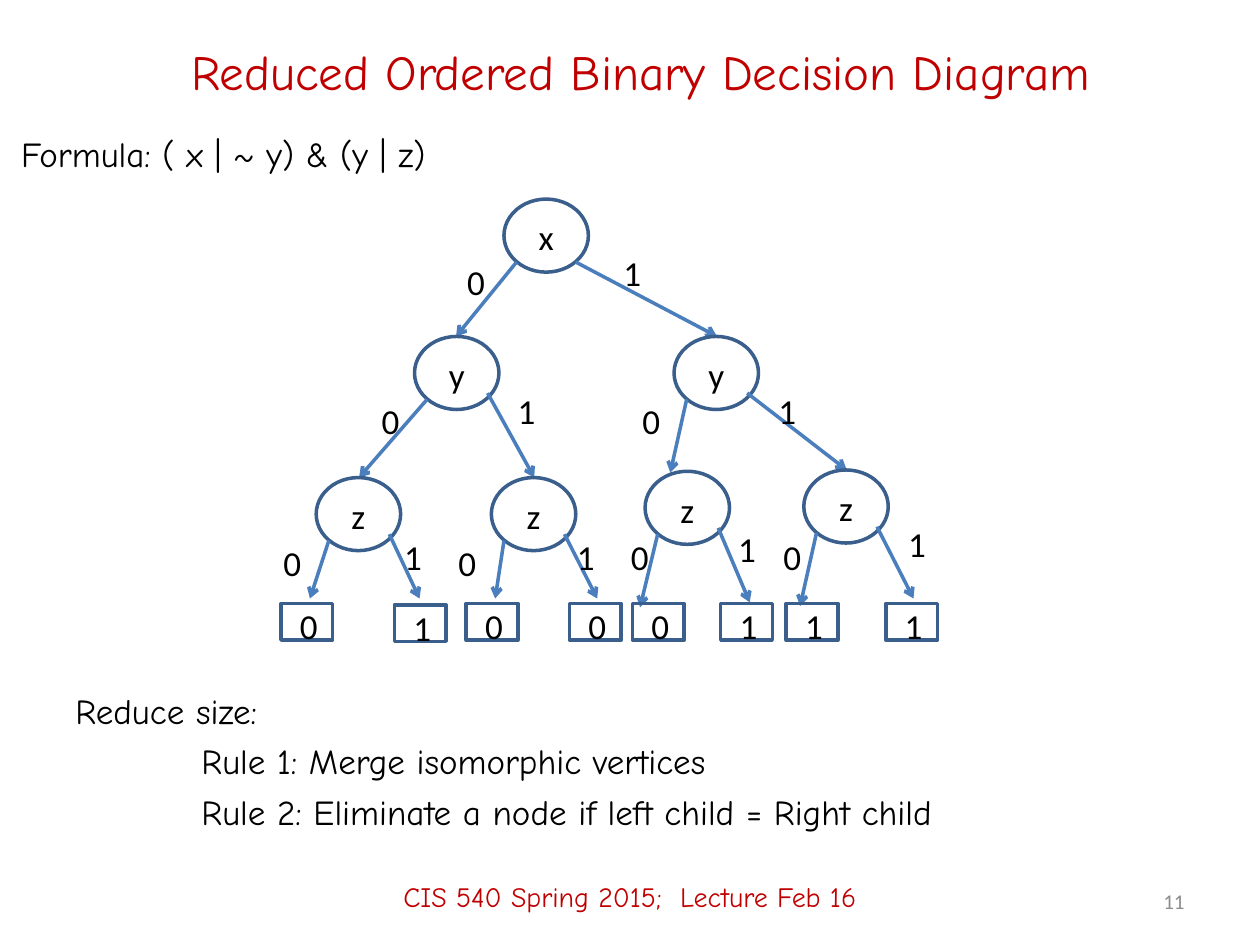
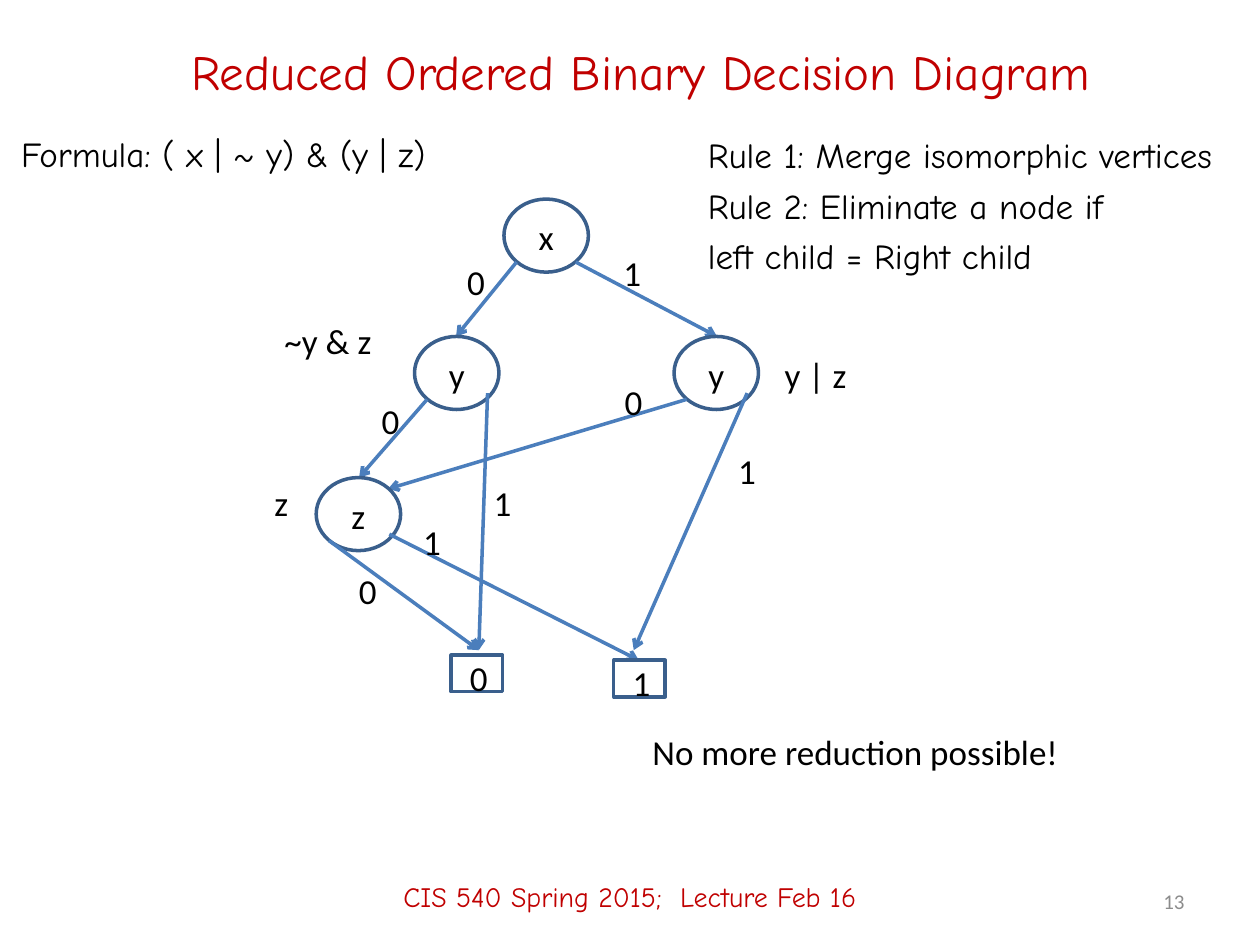
from dataclasses import dataclass
from typing import Optional

from pptx import Presentation
from pptx import util as u
from pptx.dml.color import RGBColor
from pptx.enum import shapes, text
from pptx.oxml.ns import qn
from pptx.slide import Slide

RED, BLACK, GREY = "C00000", "000000", "8C8C8C"
OUTLINE, ARROW = "3A5F8C", "4B7EBC"
HAND, PLAIN = "Comic Neue", "Calibri"
LEFT, CENTER, RIGHT = text.PP_ALIGN.LEFT, text.PP_ALIGN.CENTER, text.PP_ALIGN.RIGHT
TOP, MIDDLE = text.MSO_ANCHOR.TOP, text.MSO_ANCHOR.MIDDLE

NODE_W, NODE_H = 0.67, 0.58
LEAF_W, LEAF_H = 0.41, 0.29
LABEL_W, LABEL_H = 0.34, 0.44


@dataclass(frozen=True)
class Branch:
    """Arrow tip on the slide, and label offset from the node's corner."""
    tip_x: float
    tip_y: float
    label_dx: float
    label_dy: float


@dataclass(frozen=True)
class Node:
    name: str
    left: float
    top: float
    zero: Branch
    one: Branch
    one_start: tuple[float, float] = (0.58, 0.45)


@dataclass(frozen=True)
class Leaf:
    value: str
    left: float
    top: float = 4.79


ROOT = Node("x", 4, 1.58, Branch(3.62, 2.67, -0.39, 0.44),
            Branch(5.69, 2.67, 0.85, 0.37), (0.57, 0.5))
Y_ZERO = Branch(2.85, 3.79, -0.36, 0.45)

FULL_TREE = [
    ROOT,
    Node("y", 3.29, 2.67, Y_ZERO, Branch(4.24, 3.79, 0.72, 0.37)),
    Node("y", 5.35, 2.67, Branch(5.32, 3.75, -0.35, 0.45), Branch(6.72, 3.73, 0.73, 0.37)),
    Node("z", 2.51, 3.79, Branch(2.46, 4.75, -0.36, 0.46), Branch(3.33, 4.75, 0.6, 0.41)),
    Node("z", 3.9, 3.79, Branch(3.93, 4.75, -0.36, 0.46), Branch(4.74, 4.75, 0.58, 0.41)),
    Node("z", 5.12, 3.74, Branch(5.08, 4.82, -0.21, 0.46), Branch(5.95, 4.78, 0.64, 0.4)),
    Node("z", 6.38, 3.73, Branch(6.35, 4.81, -0.26, 0.47), Branch(7.25, 4.75, 0.73, 0.37)),
]
FULL_LEAVES = [
    Leaf("0", 2.23), Leaf("1", 3.13, 4.8), Leaf("0", 3.7), Leaf("0", 4.52),
    Leaf("0", 5.02), Leaf("1", 5.72), Leaf("1", 6.24), Leaf("1", 7.03),
]

REDUCED_TREE = [
    ROOT,
    Node("y", 3.29, 2.67, Y_ZERO, Branch(3.8, 5.16, 0.53, 1.1)),
    Node("y", 5.35, 2.67, Branch(3.08, 3.88, -0.49, 0.3), Branch(5.03, 5.16, 0.41, 0.85)),
    Node("z", 2.51, 3.79, Branch(3.8, 5.16, 0.24, 0.68), Branch(5.07, 5.24, 0.75, 0.29)),
]
REDUCED_LEAVES = [Leaf("0", 3.58, 5.2), Leaf("1", 4.87, 5.24)]


def rgb(color: str) -> RGBColor:
    return RGBColor.from_string(color)


def write(tf, lines: list[str], *, font: str = PLAIN, size: float = 20, color: str = BLACK,
          align=LEFT, anchor=TOP, wrap: bool = True, gap: float = 0,
          indents: Optional[list[float]] = None) -> None:
    """Fill a text frame, one paragraph a line; gap is points, indents are inches."""
    tf.word_wrap = wrap
    tf.vertical_anchor = anchor
    for i, line in enumerate(lines):
        p = tf.paragraphs[0] if i == 0 else tf.add_paragraph()
        p.alignment = align
        if i:
            p.space_before = u.Pt(gap)
        if indents:
            p._p.get_or_add_pPr().set("marL", str(u.Inches(indents[i])))
        r = p.add_run()
        r.text = line
        r.font.name, r.font.size = font, u.Pt(size)
        r.font.color.rgb = rgb(color)


def add_text(s: Slide, lines: list[str], left: float, top: float, width: float,
             height: float, **fmt) -> None:
    box = s.shapes.add_textbox(*map(u.Inches, (left, top, width, height)))
    write(box.text_frame, lines, **fmt)


def add_outlined(s: Slide, kind, label: str, left: float, top: float, width: float,
                 height: float, insets: tuple[float, float], **fmt) -> None:
    """Unfilled shape holding a label; insets are the left and top margins."""
    sp = s.shapes.add_shape(kind, *map(u.Inches, (left, top, width, height)))
    sp.shadow.inherit = False
    sp.fill.background()
    sp.line.color.rgb = rgb(OUTLINE)
    sp.line.width = u.Pt(2)
    tf = sp.text_frame
    tf.margin_left, tf.margin_top = map(u.Inches, insets)
    tf.margin_right = tf.margin_bottom = 0
    write(tf, [label], **fmt)


def add_arrow(s: Slide, x1: float, y1: float, x2: float, y2: float) -> None:
    line = s.shapes.add_connector(shapes.MSO_CONNECTOR.STRAIGHT,
                                  *map(u.Inches, (x1, y1, x2, y2)))
    line.line.color.rgb = rgb(ARROW)
    line.line.width = u.Pt(2)
    ln = line.line._get_or_add_ln()
    ln.append(ln.makeelement(qn("a:tailEnd"), {"type": "arrow"}))
    sp_pr = line._element.spPr
    sp_pr.append(sp_pr.makeelement(qn("a:effectLst"), {}))


def add_node(s: Slide, node: Node) -> None:
    add_outlined(s, shapes.MSO_SHAPE.OVAL, node.name, node.left, node.top, NODE_W, NODE_H,
                 (0, 0.02), align=CENTER, anchor=MIDDLE, wrap=False)
    for label, branch, (dx, dy) in (("0", node.zero, (0.1, 0.5)),
                                    ("1", node.one, node.one_start)):
        add_arrow(s, node.left + dx, node.top + dy, branch.tip_x, branch.tip_y)
        add_text(s, [label], node.left + branch.label_dx, node.top + branch.label_dy,
                 LABEL_W, LABEL_H, wrap=False)


def add_diagram(s: Slide, nodes: list[Node], leaves: list[Leaf]) -> None:
    for node in nodes:
        add_node(s, node)
    for leaf in leaves:
        add_outlined(s, shapes.MSO_SHAPE.RECTANGLE, leaf.value, leaf.left, leaf.top,
                     LEAF_W, LEAF_H, (0.15, 0.01))


def add_base_slide(prs, number: int) -> Slide:
    """Slide with the shared title, formula, footer and page number."""
    s = prs.slides.add_slide(prs.slide_layouts[6])
    add_text(s, ["Reduced Ordered Binary Decision Diagram"], 0.67, 0.17, 8.83, 0.78,
             font=HAND, size=28, color=RED, align=CENTER, anchor=MIDDLE)
    add_text(s, ["Formula: ( x | ~ y) & (y | z)"], 0.07, 1, 4.67, 0.46, font=HAND)
    add_text(s, ["CIS 540 Spring 2015;  Lecture Feb 16"], 0, 6.72, 10, 0.78,
             font=HAND, size=16, color=RED, align=CENTER, anchor=MIDDLE)
    add_text(s, [str(number)], 7.17, 6.95, 2.33, 0.4,
             size=12, color=GREY, align=RIGHT, anchor=MIDDLE)
    return s


def add_full_tree_slide(prs) -> None:
    s = add_base_slide(prs, 11)
    add_diagram(s, FULL_TREE, FULL_LEAVES)
    add_text(s, ["Reduce size:", "Rule 1: Merge isomorphic vertices",
                 "Rule 2: Eliminate a node if left child = Right child"],
             0.5, 5.42, 8.75, 1.33, font=HAND, gap=5, indents=[0, 1, 1])


def add_reduced_slide(prs) -> None:
    s = add_base_slide(prs, 13)
    add_diagram(s, REDUCED_TREE, REDUCED_LEAVES)
    add_text(s, ["Rule 1: Merge isomorphic vertices", "Rule 2: Eliminate a node if",
                 "left child = Right child"], 5.52, 1.01, 4.62, 1.45, font=HAND, gap=5)
    for note, left, top, width in (("z", 2.08, 3.77, 0.33),
                                   ("y | z", 6.13, 2.76, 1.04),
                                   ("~y & z", 2.16, 2.49, 1.04),
                                   ("No more reduction possible!", 5.08, 5.75, 4.75)):
        add_text(s, [note], left, top, width, LABEL_H)


def main() -> None:
    prs = Presentation()
    prs.slide_width, prs.slide_height = u.Inches(10), u.Inches(7.5)
    add_full_tree_slide(prs)
    add_reduced_slide(prs)
    prs.save("out.pptx")


if __name__ == "__main__":
    main()
